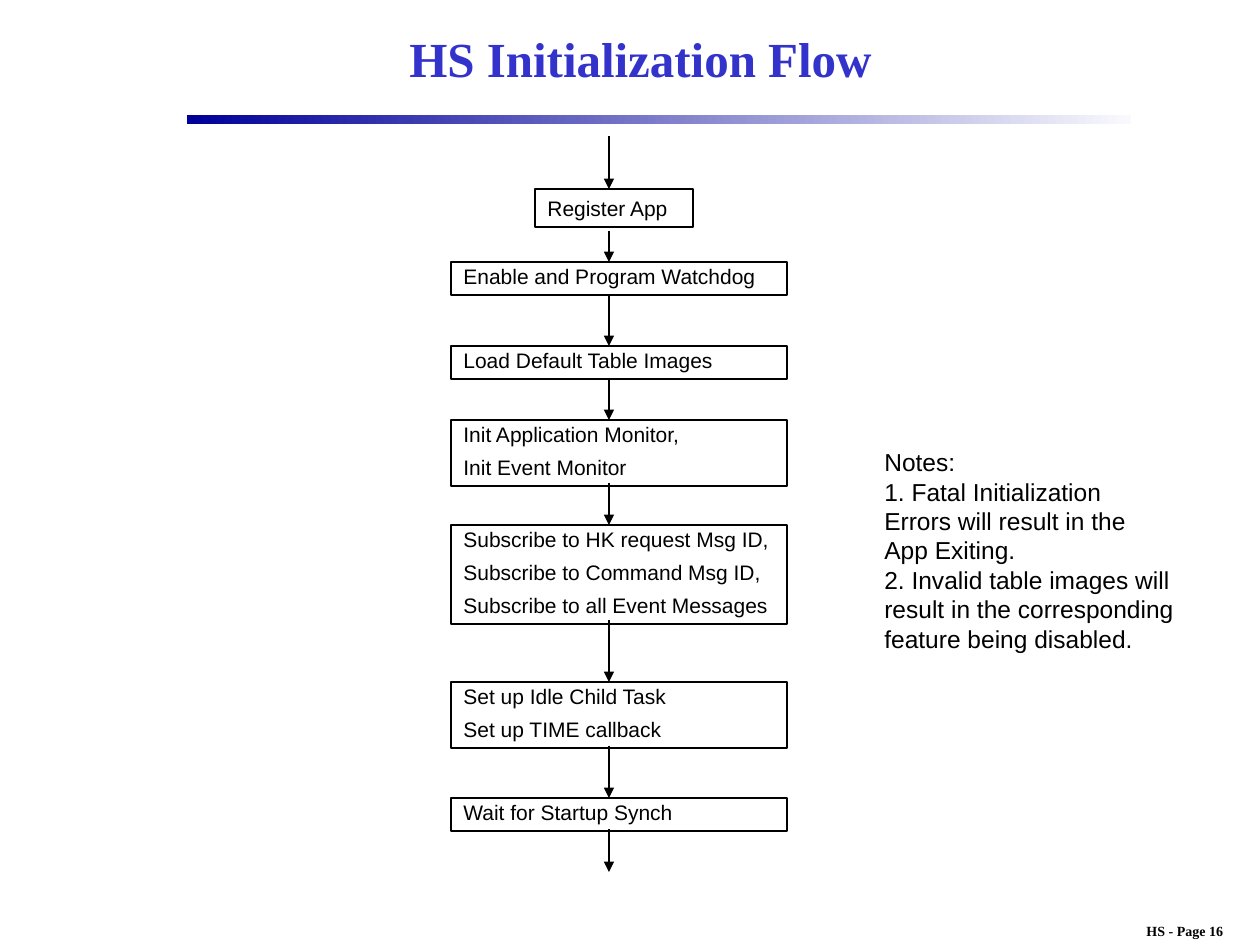
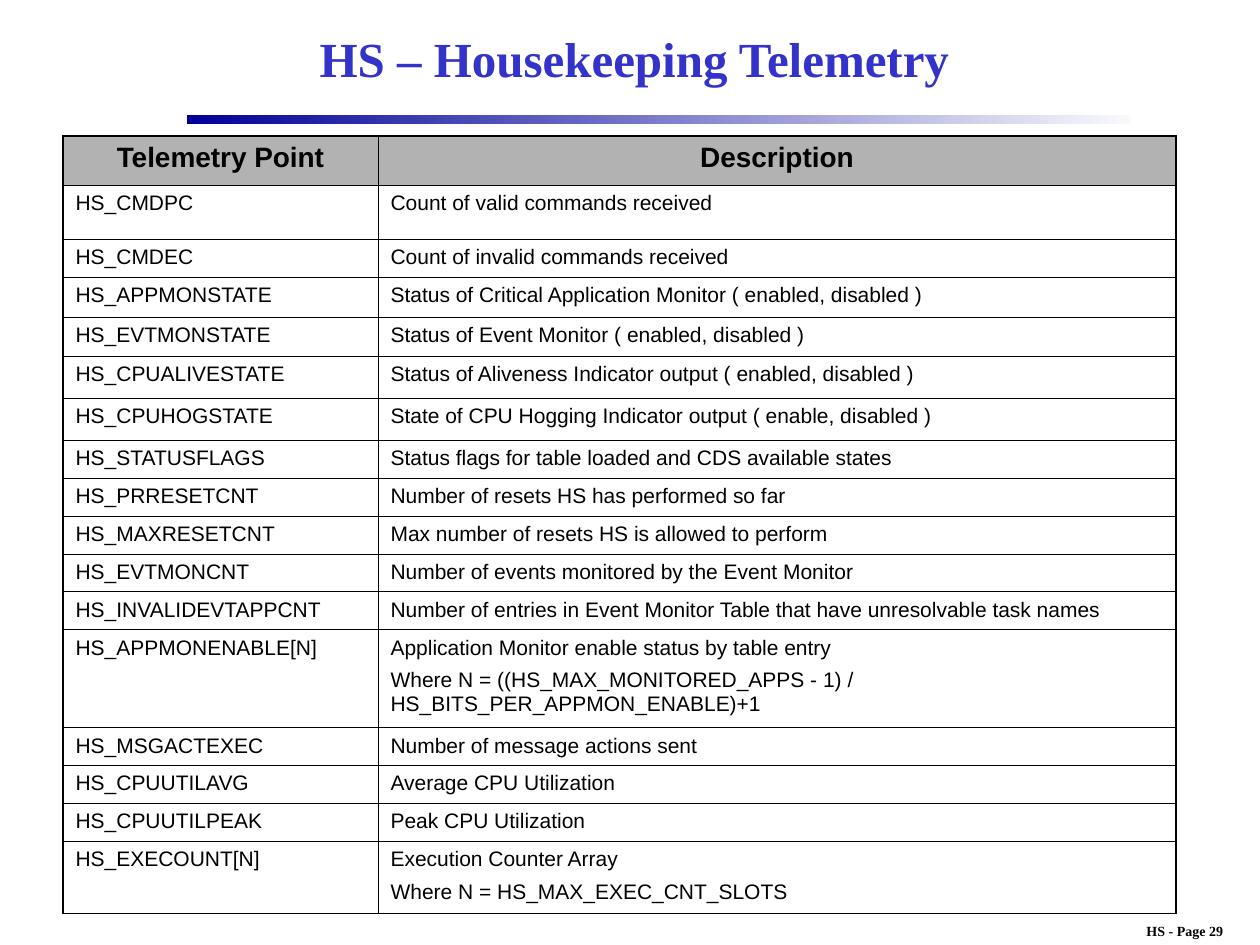
from lxml.etree import SubElement
from pptx import Presentation
from pptx.dml.color import RGBColor
from pptx.enum.shapes import MSO_CONNECTOR, MSO_SHAPE
from pptx.enum.text import MSO_ANCHOR, MSO_AUTO_SIZE, PP_ALIGN
from pptx.oxml.ns import qn
from pptx.util import Pt

PX = 914400 / 126
SLIDE_SIZE = (1260, 945)
COLORS = {
    "title": "3333CC",
    "ink": "000000",
    "band_start": "000099",
    "band_end": "F9F9FD",
    "header": "B2B2B2",
}
SERIF, SANS = "Times New Roman", "Arial"

TITLE_BOX = (189, 10, 903, 95)
BAND_BOX = (187, 115, 944, 9)
FOOTER_BOX = (1109, 916, 152, 29)

FLOW_X = 609
FLOW_START, FLOW_END = 136, 872
WIDE = (451, 336)
# lines, (left, width), top, height, where the next arrow starts, line spacing
FLOW_STEPS = [
    (["Register App"], (535, 158), 189, 38, 231, None),
    (["Enable and Program Watchdog"], WIDE, 262, 33, 294, 0.8),
    (["Load Default Table Images"], WIDE, 346, 33, 378, 0.8),
    (["Init Application Monitor,", "Init Event Monitor"], WIDE, 420, 66, 483, 0.8),
    (["Subscribe to HK request Msg ID,", "Subscribe to Command Msg ID,",
      "Subscribe to all Event Messages"], WIDE, 525, 99, 620, 0.8),
    (["Set up Idle Child Task", "Set up TIME callback"], WIDE, 682, 66, 746, 0.8),
    (["Wait for Startup Synch"], WIDE, 798, 33, 829, 0.8),
]

NOTES_BOX = (872, 441, 315, 219)
NOTES = [
    "Notes:",
    "1. Fatal Initialization",
    "Errors will result in the",
    "App Exiting.",
    "2. Invalid table images will result in the corresponding feature being disabled.",
]

TABLE_LEFT, TABLE_TOP = 63, 136
COLUMN_WIDTHS = (315, 798)
HEADER_HEIGHT = 49
HEADERS = ("Telemetry Point", "Description")
# row height, telemetry point, description lines
TELEMETRY = [
    (54, "HS_CMDPC", ["Count of valid commands received"]),
    (38, "HS_CMDEC", ["Count of invalid commands received"]),
    (40, "HS_APPMONSTATE", ["Status of Critical Application Monitor ( enabled, disabled )"]),
    (39, "HS_EVTMONSTATE", ["Status of Event Monitor ( enabled, disabled )"]),
    (42, "HS_CPUALIVESTATE", ["Status of Aliveness Indicator output ( enabled, disabled )"]),
    (42, "HS_CPUHOGSTATE", ["State of CPU Hogging Indicator output ( enable, disabled )"]),
    (38, "HS_STATUSFLAGS", ["Status flags for table loaded and CDS available states"]),
    (38, "HS_PRRESETCNT", ["Number of resets HS has performed so far"]),
    (38, "HS_MAXRESETCNT", ["Max number of resets HS is allowed to perform"]),
    (37, "HS_EVTMONCNT", ["Number of events monitored by the Event Monitor"]),
    (38, "HS_INVALIDEVTAPPCNT",
     ["Number of entries in Event Monitor Table that have unresolvable task names"]),
    (98, "HS_APPMONENABLE[N]",
     ["Application Monitor enable status by table entry",
      "Where N = ((HS_MAX_MONITORED_APPS - 1) / HS_BITS_PER_APPMON_ENABLE)+1"]),
    (37, "HS_MSGACTEXEC", ["Number of message actions sent"]),
    (38, "HS_CPUUTILAVG", ["Average CPU Utilization"]),
    (38, "HS_CPUUTILPEAK", ["Peak CPU Utilization"]),
    (72, "HS_EXECOUNT[N]", ["Execution Counter Array", "Where N = HS_MAX_EXEC_CNT_SLOTS"]),
]
OUTER_BORDER, INNER_BORDER = Pt(1.08), Pt(0.45)


def emu(*lengths):
    return [round(length * PX) for length in lengths]


def rgb(name):
    return RGBColor.from_string(COLORS[name])


def write(frame, lines, size, font=SANS, color="ink", bold=False,
          align=PP_ALIGN.LEFT, before=0, spacing=None):
    """Fill a text frame with one paragraph per line."""
    for index, line in enumerate(lines):
        paragraph = frame.add_paragraph() if index else frame.paragraphs[0]
        paragraph.alignment = align
        paragraph.space_before = Pt(before)
        paragraph.line_spacing = spacing
        run = paragraph.add_run()
        run.text = line
        run.font.size = Pt(size)
        run.font.name = font
        run.font.bold = bold
        run.font.color.rgb = rgb(color)


def add_text(slide, box, lines, size, anchor=MSO_ANCHOR.TOP, wrap=True, **style):
    frame = slide.shapes.add_textbox(*emu(*box)).text_frame
    frame.word_wrap = wrap
    frame.vertical_anchor = anchor
    write(frame, lines, size, **style)


def add_rectangle(slide, box):
    shape = slide.shapes.add_shape(MSO_SHAPE.RECTANGLE, *emu(*box))
    shape.shadow.inherit = False
    return shape


def add_page(presentation, title, number):
    """Add a slide with its title, gradient band and page footer."""
    slide = presentation.slides.add_slide(presentation.slide_layouts[6])
    add_text(slide, FOOTER_BOX, [f"HS - Page {number}"], 8, wrap=False,
             font=SERIF, bold=True, align=PP_ALIGN.CENTER)
    band = add_rectangle(slide, BAND_BOX)
    band.line.fill.background()
    band.fill.gradient()
    band.fill.gradient_angle = 0
    for stop, color in zip(band.fill.gradient_stops, ("band_start", "band_end")):
        stop.color.rgb = rgb(color)
    add_text(slide, TITLE_BOX, [title], 28, anchor=MSO_ANCHOR.MIDDLE,
             font=SERIF, color="title", bold=True, align=PP_ALIGN.CENTER)
    return slide


def add_step(slide, lines, box, spacing):
    shape = add_rectangle(slide, box)
    shape.fill.background()
    shape.line.color.rgb = rgb("ink")
    shape.line.width = Pt(0.75)
    frame = shape.text_frame
    frame.word_wrap = True
    frame.auto_size = MSO_AUTO_SIZE.SHAPE_TO_FIT_TEXT
    frame.vertical_anchor = MSO_ANCHOR.TOP
    write(frame, lines, 12, before=7.5, spacing=spacing)


def add_down_arrow(slide, start, end):
    arrow = slide.shapes.add_connector(
        MSO_CONNECTOR.STRAIGHT, *emu(FLOW_X, start, FLOW_X, end))
    arrow.line.color.rgb = rgb("ink")
    arrow.line.width = Pt(0.75)
    properties = arrow.line._get_or_add_ln()
    SubElement(properties, qn("a:tailEnd"), type="triangle")
    SubElement(arrow._element.spPr, qn("a:effectLst"))


def set_borders(cell, widths):
    """Draw the left, right, top and bottom borders, in that order."""
    properties = cell._tc.get_or_add_tcPr()
    for side, width in zip("LRTB", widths):
        line = SubElement(properties, qn(f"a:ln{side}"), w=str(int(width)))
        fill = SubElement(line, qn("a:solidFill"))
        SubElement(fill, qn("a:srgbClr"), val=COLORS["ink"])


def add_telemetry_table(slide):
    heights = [HEADER_HEIGHT] + [height for height, _, _ in TELEMETRY]
    rows = [[[header] for header in HEADERS]]
    rows += [[[point], description] for _, point, description in TELEMETRY]
    last_row, last_column = len(rows) - 1, len(HEADERS) - 1
    table = slide.shapes.add_table(
        len(rows), len(HEADERS),
        *emu(TABLE_LEFT, TABLE_TOP, sum(COLUMN_WIDTHS), sum(heights))).table
    table.first_row = table.horz_banding = False
    for column, width in zip(table.columns, emu(*COLUMN_WIDTHS)):
        column.width = width
    for row, height in zip(table.rows, emu(*heights)):
        row.height = height
    for r, row in enumerate(rows):
        for c, lines in enumerate(row):
            cell = table.cell(r, c)
            on_edge = (c == 0, c == last_column, r == 0, r == last_row)
            set_borders(cell, [OUTER_BORDER if edge else INNER_BORDER for edge in on_edge])
            if r == 0:
                cell.fill.solid()
                cell.fill.fore_color.rgb = rgb("header")
                write(cell.text_frame, lines, 16, bold=True,
                      align=PP_ALIGN.CENTER, before=7)
            else:
                cell.fill.background()
                write(cell.text_frame, lines, 12, before=5.2)


def build_flow_slide(presentation):
    slide = add_page(presentation, "HS Initialization Flow", 16)
    arrow_start = FLOW_START
    for lines, (left, width), top, height, next_start, spacing in FLOW_STEPS:
        add_step(slide, lines, (left, top, width, height), spacing)
        add_down_arrow(slide, arrow_start, top)
        arrow_start = next_start
    add_down_arrow(slide, arrow_start, FLOW_END)
    add_text(slide, NOTES_BOX, NOTES, 14)


def build_telemetry_slide(presentation):
    slide = add_page(presentation, "HS – Housekeeping Telemetry ", 29)
    add_telemetry_table(slide)


def main():
    presentation = Presentation()
    presentation.slide_width, presentation.slide_height = emu(*SLIDE_SIZE)
    build_flow_slide(presentation)
    build_telemetry_slide(presentation)
    presentation.save("out.pptx")


if __name__ == "__main__":
    main()
